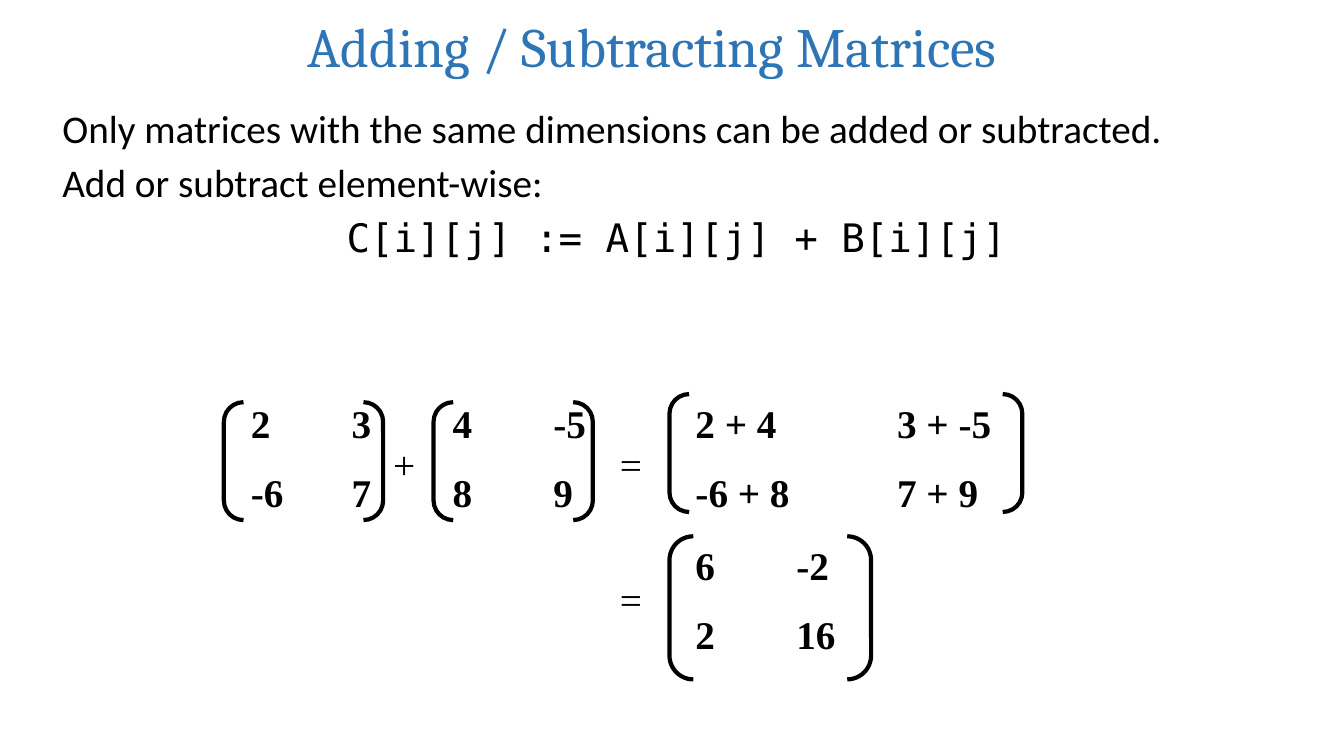
from lxml import etree
from pptx import Presentation
from pptx import util as u
from pptx.dml.color import RGBColor
from pptx.enum import shapes, text
from pptx.oxml.ns import qn

EMU_PER_PX = 9144  # 100 px to the inch
COLORS = {"title": "2E75B6", "ink": "000000"}
ALIGN = text.PP_ALIGN


def px(length):
    return u.Emu(length * EMU_PER_PX)


def add_tab_stops(paragraph, step, count):
    """Set evenly spaced left tab stops, step px apart."""
    tab_list = etree.SubElement(paragraph._p.get_or_add_pPr(), qn("a:tabLst"))
    for column in range(1, count + 1):
        etree.SubElement(tab_list, qn("a:tab"), pos=str(px(step * column)), algn="l")


def write(paragraph, content, font="Times New Roman", size=28, color="ink",
          bold=False, align=ALIGN.LEFT, before=0, spacing=1.0, tab_step=None):
    paragraph.alignment = align
    paragraph.space_before = u.Pt(before)
    paragraph.line_spacing = spacing
    if tab_step:
        add_tab_stops(paragraph, tab_step, content.count("\t"))
    run = paragraph.add_run()
    run.text = content
    run.font.name = font
    run.font.size = u.Pt(size)
    run.font.bold = bold
    run.font.color.rgb = RGBColor.from_string(COLORS[color])


class MatrixSlide:
    """Holds the current slide and the look of its elements."""

    bracket_width = 3
    row_gap = 16

    def __init__(self, presentation):
        self.slide = presentation.slides.add_slide(presentation.slide_layouts[6])

    def text_box(self, left, top, width, height, anchor=text.MSO_ANCHOR.TOP):
        box = self.slide.shapes.add_textbox(px(left), px(top), px(width), px(height))
        box.text_frame.word_wrap = True
        box.text_frame.vertical_anchor = anchor
        return box.text_frame

    def lines(self, frame, contents, gap, formats=None, **style):
        """Write one paragraph per entry; formats adds keywords line by line."""
        for index, content in enumerate(contents):
            paragraph = frame.add_paragraph() if index else frame.paragraphs[0]
            extra = formats[index] if formats else {}
            write(paragraph, content, before=gap if index else 0, **{**style, **extra})

    def numbers(self, left, top, width, rows, column_step=100):
        frame = self.text_box(left, top, width, 127)
        self.lines(frame, ["\t".join(row) for row in rows], self.row_gap,
                   bold=True, tab_step=column_step)

    def brackets(self, left, top, width, height=117):
        pair = self.slide.shapes.add_shape(
            shapes.MSO_SHAPE.DOUBLE_BRACKET, px(left), px(top), px(width), px(height))
        pair.shadow.inherit = False
        pair.fill.background()
        pair.line.color.rgb = RGBColor.from_string(COLORS["ink"])
        pair.line.width = u.Pt(self.bracket_width)

    def operator(self, left, top, sign):
        write(self.text_box(left, top, 42, 57).paragraphs[0], sign)


def main():
    presentation = Presentation()
    presentation.slide_width, presentation.slide_height = px(1333), px(750)
    page = MatrixSlide(presentation)

    title = page.text_box(52, 10, 1190, 70, text.MSO_ANCHOR.MIDDLE)
    write(title.paragraphs[0], "Adding / Subtracting Matrices", font="Cambria",
          size=39.6, color="title", align=ALIGN.CENTER)

    rule = ["Only matrices with the same dimensions can be added or subtracted.",
            "Add or subtract element-wise:",
            "C[i][j] := A[i][j] + B[i][j]"]
    formula = {"font": "DejaVu Sans Mono", "align": ALIGN.CENTER}
    page.lines(page.text_box(52, 104, 1238, 634), rule, 8.5,
               formats=[{}, {}, formula], font="Calibri", spacing=0.9)

    page.numbers(239, 391, 358, [["2", "3", "4", "-5"], ["-6", "7", "8", "9"]])
    for left in (222, 430):
        page.brackets(left, 399, 158)

    page.numbers(680, 391, 350, [["2 + 4", "3 + -5"], ["-6 + 8", "7 + 9"]],
                 column_step=200)
    page.brackets(664, 391, 350)

    page.numbers(680, 532, 433, [["6", "-2"], ["2", "16"]])
    page.brackets(664, 532, 200, 142)

    for left, top, sign in ((380, 432, "+"), (605, 432, "="), (605, 566, "=")):
        page.operator(left, top, sign)

    presentation.save("out.pptx")


if __name__ == "__main__":
    main()
